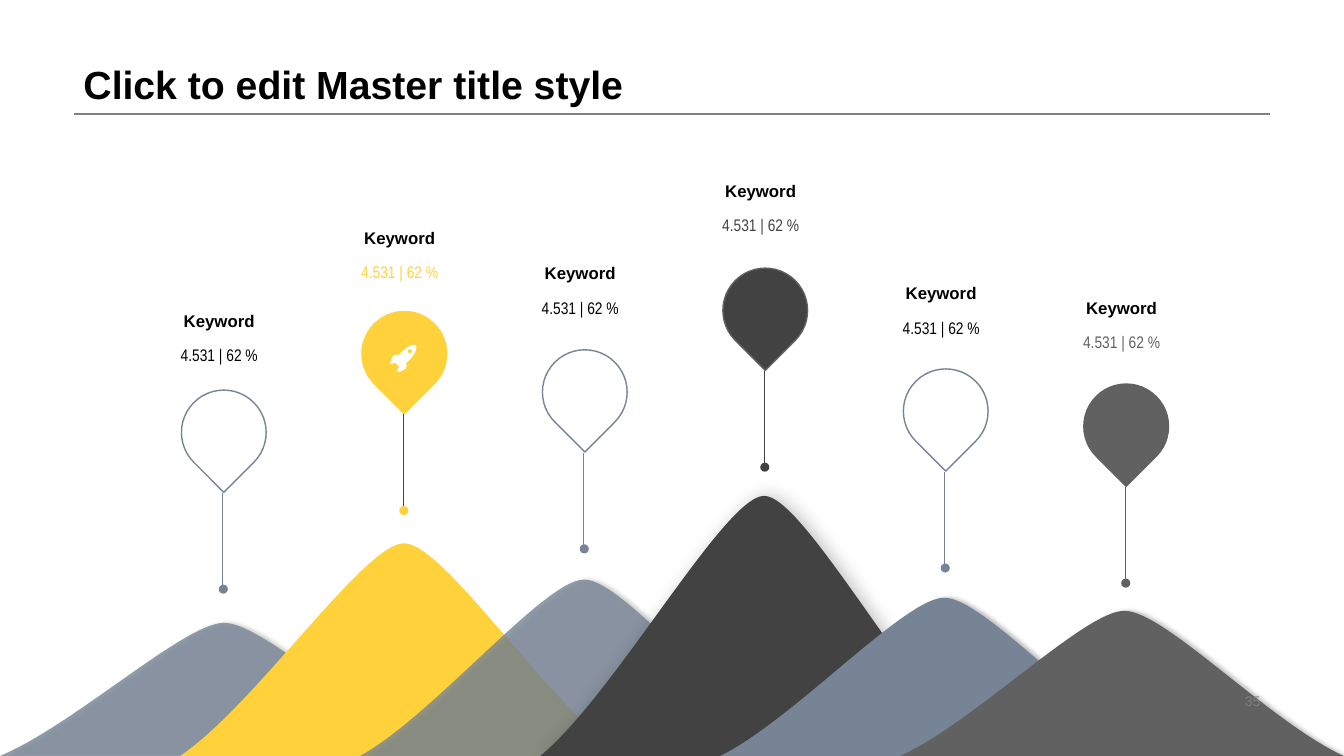
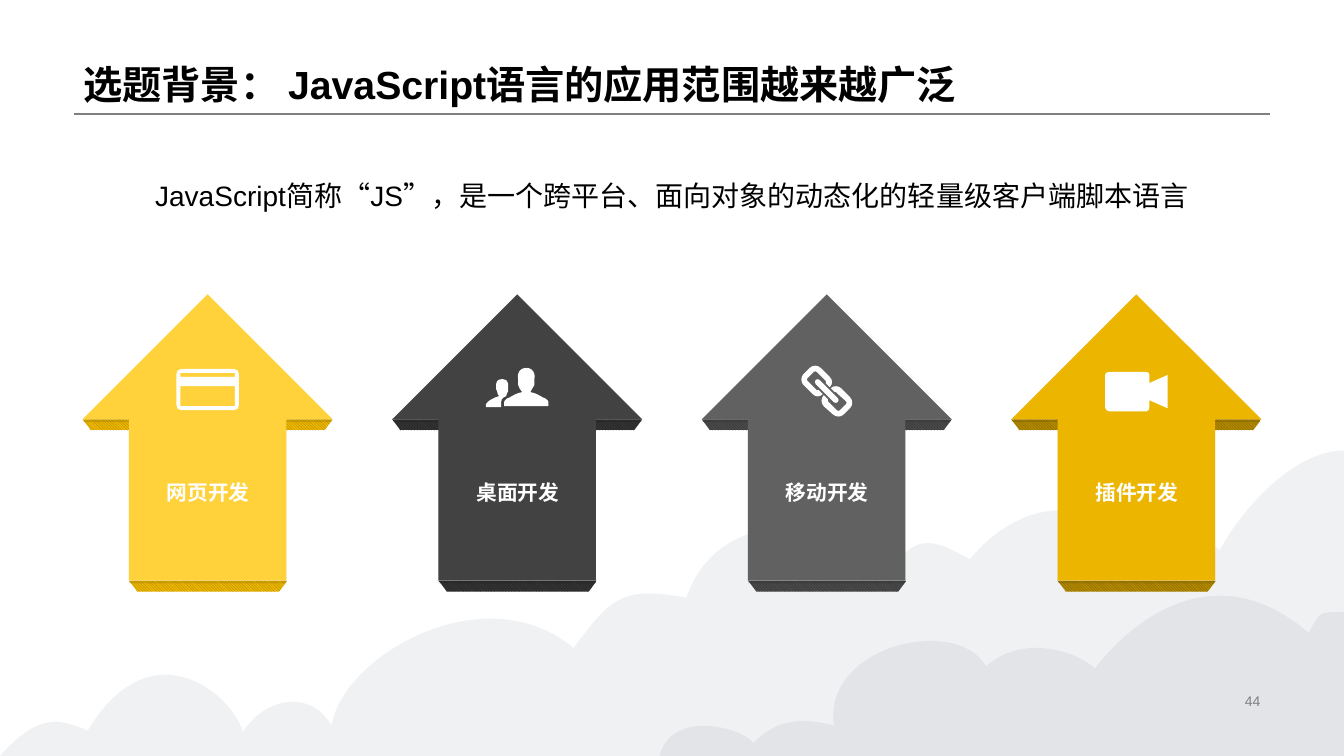
import pptx
import pptx.util
import pptx.dml.color
import pptx.enum.dml
import pptx.enum.shapes
import pptx.enum.text
import pptx.oxml
import pptx.oxml.ns
from lxml import etree

RGB = pptx.dml.color.RGBColor
SHAPE = pptx.enum.shapes.MSO_SHAPE
ALIGN = pptx.enum.text.PP_ALIGN
ANCHOR = pptx.enum.text.MSO_ANCHOR
qn = pptx.oxml.ns.qn

EMU_PER_PX = 9144  # 100 px to the inch
PAGE_WIDTH, PAGE_HEIGHT = 1333, 750

BLACK, WHITE = RGB(0, 0, 0), RGB(255, 255, 255)
YELLOW, AMBER = RGB(0xFF, 0xD2, 0x3C), RGB(0xEC, 0xB5, 0x00)
DARK, GRAY = RGB(0x42, 0x42, 0x42), RGB(0x61, 0x61, 0x61)
SLATE, RULE = RGB(0x77, 0x84, 0x95), RGB(0x80, 0x80, 0x80)
CLOUD_LIGHT, CLOUD_DARK = RGB(0xE4, 0xE6, 0xEA), RGB(0xC9, 0xCE, 0xD5)

# Shadows: opacity %, blur pt, distance pt, direction in degrees
SOFT_SHADOW, WIDE_SHADOW, ARROW_SHADOW = (23, 3, 3, 0), (23, 13, 3, 0), (10, 0, 2, 90)

PIN_TITLE, PIN_PAGE_NUMBER = "Click to edit Master title style", "35"
KEYWORD, FIGURES = "Keyword", "4.531 | 62 %"
COLUMN_STEP, MOUNTAIN_STEP = 179, 178.6
# Peak, pin and label tops; mountain colour, opacity, shadow; pin fill and line;
# stem and figures colours
PEAKS = [
    (618, 387, 303, SLATE, 80, SOFT_SHADOW, WHITE, SLATE, SLATE, BLACK),
    (539, 309, 221, YELLOW, 100, None, YELLOW, YELLOW, DARK, YELLOW),
    (575, 347, 256, SLATE, 80, SOFT_SHADOW, WHITE, SLATE, SLATE, BLACK),
    (492, 266, 174, DARK, 100, WIDE_SHADOW, DARK, GRAY, DARK, DARK),
    (593, 366, 276, SLATE, 100, SOFT_SHADOW, WHITE, SLATE, SLATE, BLACK),
    (606, 381, 290, GRAY, 100, SOFT_SHADOW, GRAY, GRAY, GRAY, GRAY),
]
ROCKET = """M 403 360 C 403 360 414 351 413 343 L 413 342 C 404 341 396 352 396 352
    389 351 390 353 387 360 386 361 387 361 388 361 389 361 392 360 392 360
    L 396 364 C 396 364 395 366 394 367 394 369 394 370 396 369
    403 366 404 366 403 360 Z
    M 405 350 C 404 349 404 348 405 347 406 346 408 346 408 347
    409 348 409 349 408 350 408 351 406 351 405 350 Z"""

ARROW_TITLE, ARROW_PAGE_NUMBER = "选题背景： JavaScript语言的应用范围越来越广泛", "44"
INTRO = "JavaScript简称“JS”，是一个跨平台、面向对象的动态化的轻量级客户端脚本语言"
CLOUDS = [
    (CLOUD_LIGHT, 53, """M 1333 447 C 1284 447 1232 504 1210 546 1165 511 1145 517 1115 551
        1082 480 1003 503 962 555 915 528 905 534 873 579 853 510 713 495 681 593
        617 581 605 594 569 643 481 569 339 651 329 720 309 685 265 690 241 726
        228 685 148 623 87 725 56 711 36 710 0 750 L 1333 750 Z"""),
    (CLOUD_DARK, 35, """M 1333 607 C 1308 607 1309 607 1298 628 1209 551 1127 610 1086 663
        1064 644 1013 630 978 661 949 610 816 640 827 720 788 709 767 718 747 737
        737 722 666 703 654 750 L 1333 750 Z"""),
]
CARD = ["""M 232 366 L 180 366 C 177 366 175 368 175 371 L 175 402 C 175 405 177 407 180 407
    L 232 407 C 235 407 237 405 237 402 L 237 371 C 237 368 235 366 232 366 Z
    M 179 370 L 233 370 233 374 179 374 Z
    M 233 403 L 179 403 179 383 233 383 Z"""]
PEOPLE = [
    """M 497 399 C 497 398 497 395 502 393 502 392 503 390 504 388 504 387 504 386 504 384
    504 383 504 382 504 381 503 377 501 376 498 376 495 376 493 377 492 381
    492 382 492 383 492 384 492 386 492 387 493 388 493 390 494 392 495 393
    491 394 488 396 486 397 483 399 482 401 482 401 L 482 404 497 404 Z""",
    """M 538 394 C 536 393 532 390 526 389 527 387 529 384 530 382 530 380 530 378 530 376
    530 375 531 372 530 371 529 367 526 365 522 365 518 365 515 367 514 371
    513 372 514 375 514 376 514 378 514 380 514 382 515 385 516 387 518 389
    512 390 508 393 506 394 500 396 500 399 500 399 L 500 403 544 403 544 399
    C 544 399 544 396 538 394 Z"""]
CHAIN = [
    """M 812 387 C 811 387 810 387 810 387 L 801 378 C 800 377 800 376 801 375 L 807 369
    C 808 368 809 368 810 369 L 819 378 C 819 379 819 379 819 380 L 823 384
    C 826 381 826 377 823 374 L 814 365 C 811 362 806 362 803 365 L 797 371
    C 794 374 794 379 797 382 L 806 391 C 809 394 813 394 816 391 Z""",
    """M 837 411 L 843 405 C 846 402 846 397 843 394 L 834 385 C 832 383 827 382 824 385
    L 828 389 C 829 389 830 389 830 390 L 839 398 C 840 399 840 400 839 401 L 833 407
    C 832 408 831 408 830 407 L 821 398 C 821 398 821 397 821 396 L 817 392
    C 814 395 814 400 817 403 L 826 411 C 829 414 834 414 837 411 Z""",
    """M 809 377 C 808 378 808 380 809 381 L 827 399 C 828 400 830 400 831 399
    832 398 832 396 831 395 L 813 377 C 812 376 810 376 809 377 Z"""]
CAMERA = ["""M 1140 380 L 1140 372 C 1140 370 1139 369 1137 369 L 1100 369
    C 1098 369 1096 370 1096 372 L 1096 404 C 1096 406 1098 408 1100 408 L 1137 408
    C 1139 408 1140 406 1140 404 L 1140 397 1158 405 1158 372 Z"""]
# Label, front colour, pattern foreground and background, icon outlines
ARROWS = [
    ("网页开发", YELLOW, RGB(0x9E, 0x79, 0x00), RGB(0xEC, 0xB6, 0x00), CARD),
    ("桌面开发", DARK, RGB(0x21, 0x21, 0x21), RGB(0x32, 0x32, 0x32), PEOPLE),
    ("移动开发", GRAY, RGB(0x30, 0x30, 0x30), RGB(0x49, 0x49, 0x49), CHAIN),
    ("插件开发", AMBER, RGB(0x76, 0x5A, 0x00), RGB(0xB1, 0x88, 0x00), CAMERA),
]
ARROW_LEFT, ARROW_STEP, ARROW_WIDTH, ARROW_TOP, ARROW_HEIGHT = 82, 307, 248, 292, 284
SHAFT_INSET, SHAFT_WIDTH, EDGE_HEIGHT = 46, 157, 11


def px(length):
    return pptx.util.Emu(round(length * EMU_PER_PX))


def read_outline(outline):
    """Split an M/L/C/Z outline into contours of points and the points per segment."""
    contours, segments, command = [], [], ""
    tokens = outline.split()
    while tokens:
        if tokens[0].isalpha():
            command = tokens.pop(0)
        if command == "Z":
            continue
        size = 3 if command == "C" else 1
        values = [px(float(token)) for token in tokens[:2 * size]]
        del tokens[:2 * size]
        if command == "M":
            contours.append([])
        else:
            segments.append(size)
        contours[-1].extend(zip(values[::2], values[1::2]))
    return contours, segments


def bend_segments(shape, segments):
    """Join each run of three straight segments that stands for a curve."""
    outline = shape._element.spPr.find(".//" + qn("a:path"))
    straight = iter(outline.findall(qn("a:lnTo")))
    for size in segments:
        parts = [next(straight) for _ in range(size)]
        if size == 3:
            curve = etree.Element(qn("a:cubicBezTo"))
            parts[0].addprevious(curve)
            for part in parts:
                curve.append(part[0])
                outline.remove(part)


def paint(shape, color, line=None, opacity=100, shadow=None):
    shape.shadow.inherit = False
    shape.fill.solid()
    shape.fill.fore_color.rgb = color
    if opacity < 100:
        color_node = shape._element.spPr.find(qn("a:solidFill"))[0]
        etree.SubElement(color_node, qn("a:alpha"), val=str(opacity * 1000))
    if line is None:
        shape.line.fill.background()
    else:
        shape.line.color.rgb = line
        shape.line.width = pptx.util.Pt(1)
    if shadow:
        strength, blur, distance, direction = shadow
        effects = shape._element.spPr.find(qn("a:effectLst"))
        outer = etree.SubElement(
            effects, qn("a:outerShdw"), blurRad=str(blur * 12700),
            dist=str(distance * 12700), dir=str(direction * 60000), rotWithShape="0")
        shade = etree.SubElement(outer, qn("a:srgbClr"), val="000000")
        etree.SubElement(shade, qn("a:alpha"), val=str(strength * 1000))


def add_outline(page, outline, color, opacity=100, shadow=None):
    contours, segments = read_outline(outline)
    builder = page.shapes.build_freeform(*contours[0][0], scale=1.0)
    for index, contour in enumerate(contours):
        if index:
            builder.move_to(*contour[0])
        builder.add_line_segments(contour[1:], close=True)
    shape = builder.convert_to_shape()
    bend_segments(shape, segments)
    paint(shape, color, opacity=opacity, shadow=shadow)


def add_preset(page, kind, left, top, width, height):
    return page.shapes.add_shape(kind, px(left), px(top), px(width), px(height))


def add_line(page, start, end, color, width):
    line = page.shapes.add_connector(
        pptx.enum.shapes.MSO_CONNECTOR.STRAIGHT, *map(px, start + end))
    line.line.color.rgb = color
    line.line.width = pptx.util.Pt(width)
    etree.SubElement(line._element.spPr, qn("a:effectLst"))


def add_text(page, text, left, top, width, height, size, color, bold=False,
             font="Arial", align=ALIGN.LEFT, anchor=ANCHOR.TOP, wrap=True, spacing=None):
    box = page.shapes.add_textbox(px(left), px(top), px(width), px(height))
    frame = box.text_frame
    frame.word_wrap = wrap
    frame.vertical_anchor = anchor
    para = frame.paragraphs[0]
    para.text = text
    para.alignment = align
    para.line_spacing = spacing
    para.font.name = font
    para.font.size = pptx.util.Pt(size)
    para.font.bold = bold
    para.font.color.rgb = color


def add_page(deck):
    page = deck.slides.add_slide(deck.slide_layouts[6])
    add_line(page, (73, 113), (1260, 113), RULE, 1)
    return page


def add_title_and_number(page, title, number):
    add_text(page, title, 73, 0, 1187, 112, 28, BLACK, bold=True,
             anchor=ANCHOR.BOTTOM, spacing=0.9)
    add_text(page, number, 942, 684, 318, 23, 10, RULE,
             align=ALIGN.RIGHT, anchor=ANCHOR.MIDDLE)


def mountain(left, peak):
    foot = PAGE_HEIGHT - 0.23 * (PAGE_HEIGHT - peak)
    return (f"M {left} {PAGE_HEIGHT} C {left + 73} {foot} {left + 183} {peak} {left + 222} {peak} "
            f"{left + 261} {peak - 1} {left + 367} {foot} {left + 440} {PAGE_HEIGHT} Z")


def build_pin_page(deck):
    page = add_page(deck)
    for index, (peak, _, _, color, opacity, shadow, *_) in enumerate(PEAKS):
        add_outline(page, mountain(index * MOUNTAIN_STEP, peak), color, opacity, shadow)
    for index, (_, pin_top, label_top, color, _, _, fill, line, stem, figures) in enumerate(PEAKS):
        offset = index * COLUMN_STEP
        pin = add_preset(page, SHAPE.TEAR, 180 + offset, pin_top, 84, 84)
        pin.rotation = 135
        paint(pin, fill, line)
        center = 221 + offset
        add_line(page, (center, pin_top + 102), (center, pin_top + 197), stem, 0.5)
        paint(add_preset(page, SHAPE.OVAL, center - 4, pin_top + 193, 9, 9), color)
        add_text(page, KEYWORD, 136 + offset, label_top, 163, 34, 12, BLACK,
                 bold=True, align=ALIGN.CENTER, wrap=False)
        add_text(page, FIGURES, 136 + offset, label_top + 34, 163, 44, 12, figures,
                 font="Arial Narrow", align=ALIGN.CENTER, wrap=False)
    add_outline(page, ROCKET, WHITE)
    add_title_and_number(page, PIN_TITLE, PIN_PAGE_NUMBER)


def add_edge(page, left, top, width, foreground, background):
    edge = add_preset(page, SHAPE.TRAPEZOID, left, top, width, EDGE_HEIGHT)
    edge.rotation = 180
    edge.adjustments[0] = 0.75
    edge.shadow.inherit = False
    edge.line.fill.background()
    edge.fill.patterned()
    edge.fill.pattern = pptx.enum.dml.MSO_PATTERN.DARK_DOWNWARD_DIAGONAL
    edge.fill.fore_color.rgb = foreground
    edge.fill.back_color.rgb = background


def build_arrow_page(deck):
    page = add_page(deck)
    for color, opacity, outline in CLOUDS:
        add_outline(page, outline, color, opacity)
    for index, (label, color, foreground, background, icon) in enumerate(ARROWS):
        left = ARROW_LEFT + index * ARROW_STEP
        shaft = left + SHAFT_INSET
        add_edge(page, left, 416, ARROW_WIDTH, foreground, background)
        add_edge(page, shaft, ARROW_TOP + ARROW_HEIGHT, SHAFT_WIDTH, foreground, background)
        arrow = add_preset(page, SHAPE.UP_ARROW, left, ARROW_TOP, ARROW_WIDTH, ARROW_HEIGHT)
        arrow.adjustments[0] = 0.63
        arrow.adjustments[1] = 0.5
        paint(arrow, color, shadow=ARROW_SHADOW)
        for outline in icon:
            add_outline(page, outline, WHITE)
        add_text(page, label, shaft, 471, SHAFT_WIDTH, 31, 14.8, WHITE,
                 bold=True, align=ALIGN.CENTER, wrap=False)
    add_text(page, INTRO, 144, 172, 1046, 44, 20, BLACK)
    add_title_and_number(page, ARROW_TITLE, ARROW_PAGE_NUMBER)


def main():
    deck = pptx.Presentation()
    deck.slide_width, deck.slide_height = px(PAGE_WIDTH), px(PAGE_HEIGHT)
    build_pin_page(deck)
    build_arrow_page(deck)
    deck.save("out.pptx")


if __name__ == "__main__":
    main()
